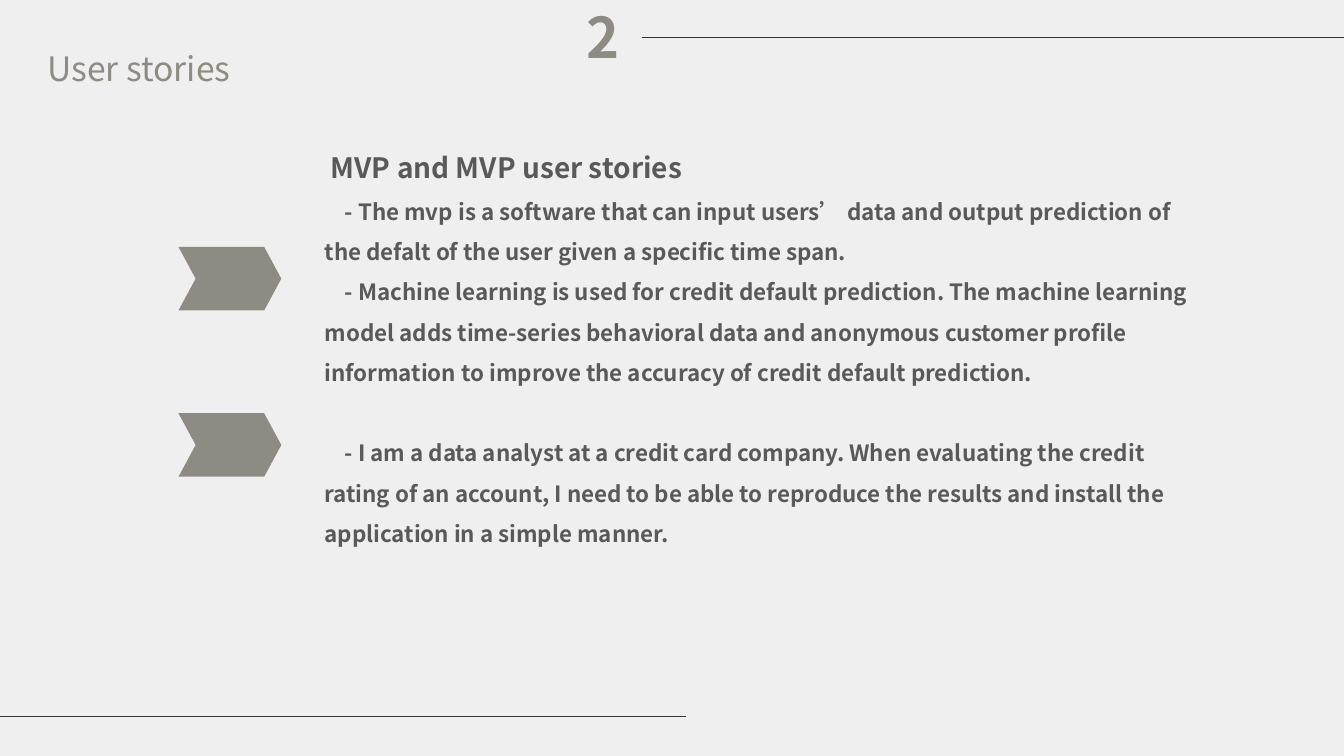
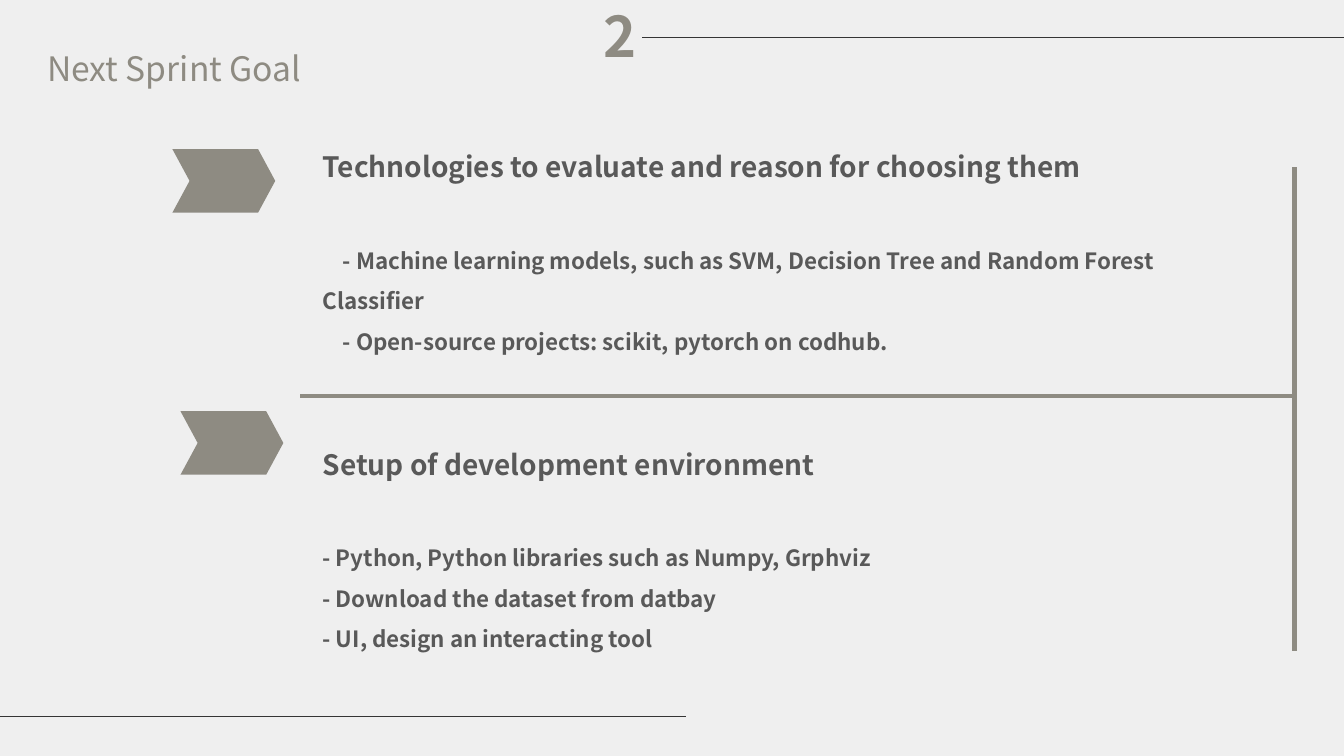
import dataclasses

import lxml.etree
import pptx
import pptx.dml.color
import pptx.enum.shapes
import pptx.enum.text
import pptx.oxml.ns
import pptx.util

Inches = pptx.util.Inches
Pt = pptx.util.Pt
RGBColor = pptx.dml.color.RGBColor

# Shared style
PAPER = RGBColor(0xEF, 0xEF, 0xEF)
RULE = RGBColor(0x34, 0x34, 0x34)
ACCENT = RGBColor(0x8E, 0x8B, 0x82)
BODY = RGBColor(0x59, 0x59, 0x59)
FONT = "Noto Sans CJK SC"
HEADING_SIZE, ITEM_SIZE = 20, 16
LINE_SPACING = 1.5
BLANK_LINE = 1.2 * LINE_SPACING  # height of an empty line per point of text


@dataclasses.dataclass(frozen=True)
class Line:
    text: str
    size: float = ITEM_SIZE
    indent: float = 0
    gap: float = 0


@dataclasses.dataclass(frozen=True)
class Section:
    left: float
    top: float
    width: float
    height: float
    lines: tuple[Line, ...]


@dataclasses.dataclass(frozen=True)
class Page:
    title: str
    number_at: tuple[float, float]
    sections: tuple[Section, ...]
    chevrons: tuple[tuple[float, float], ...]
    dividers: tuple[tuple[float, float], ...] = ()


def add_rule(shapes, start: tuple[float, float], end: tuple[float, float],
             color: RGBColor, weight: float) -> None:
    rule = shapes.add_connector(pptx.enum.shapes.MSO_CONNECTOR.STRAIGHT,
                                *map(Inches, start + end))
    rule.line.color.rgb = color
    rule.line.width = Pt(weight)
    properties = rule._element.find(pptx.oxml.ns.qn("p:spPr"))
    lxml.etree.SubElement(properties, pptx.oxml.ns.qn("a:effectLst"))


def add_frame(slide, left: float, top: float, width: float, height: float):
    frame = slide.shapes.add_textbox(*map(Inches, (left, top, width, height))).text_frame
    frame.word_wrap = True
    frame.auto_size = pptx.enum.text.MSO_AUTO_SIZE.SHAPE_TO_FIT_TEXT
    return frame


def style_runs(paragraph, size: float, color: RGBColor, bold: bool) -> None:
    for run in paragraph.runs:
        run.font.name = FONT
        run.font.size = Pt(size)
        run.font.bold = bold
        run.font.color.rgb = color
        east_asian = lxml.etree.SubElement(run.font._element, pptx.oxml.ns.qn("a:ea"))
        east_asian.set("typeface", FONT)


def add_label(slide, text: str, box: tuple[float, float, float, float],
              size: float, bold: bool) -> None:
    frame = add_frame(slide, *box)
    frame.text = text
    style_runs(frame.paragraphs[0], size, ACCENT, bold)


def add_section(slide, section: Section) -> None:
    frame = add_frame(slide, section.left, section.top, section.width, section.height)
    frame.margin_left = frame.margin_right = Inches(0.04)
    for index, line in enumerate(section.lines):
        paragraph = frame.add_paragraph() if index else frame.paragraphs[0]
        paragraph.text = line.text
        paragraph.line_spacing = LINE_SPACING
        paragraph.space_before = Pt(line.gap)
        paragraph._p.get_or_add_pPr().set("indent", str(Inches(line.indent)))
        style_runs(paragraph, line.size, BODY, True)


def add_chevron(slide, left: float, top: float) -> None:
    chevron = slide.shapes.add_shape(pptx.enum.shapes.MSO_SHAPE.CHEVRON,
                                     *map(Inches, (left, top, 1.02, 0.63)))
    chevron.adjustments[0] = 0.27
    chevron.shadow.inherit = False
    chevron.fill.solid()
    chevron.fill.fore_color.rgb = ACCENT
    chevron.line.fill.background()


def add_page(deck, page: Page) -> None:
    slide = deck.slides.add_slide(deck.slide_layouts[6])
    slide.background.fill.solid()
    slide.background.fill.fore_color.rgb = PAPER
    # Frame lines, title and number
    add_rule(slide.shapes, (0, 7.11), (6.8, 7.11), RULE, 0.5)
    add_rule(slide.shapes, (6.37, 0.37), (13.33, 0.37), RULE, 0.5)
    add_label(slide, page.title, (0.37, 0.43, 4.15, 0.5), 24, False)
    add_label(slide, "2", (*page.number_at, 0.48, 0.77), 40, True)
    # Content
    for section in page.sections:
        add_section(slide, section)
    for left, top in page.chevrons:
        add_chevron(slide, left, top)
    # Dividers meet at one junction
    if page.dividers:
        divider_group = slide.shapes.add_group_shape()
        for end in page.dividers:
            add_rule(divider_group.shapes, JUNCTION, end, ACCENT, 3)


JUNCTION = (12.84, 3.93)
ITEM_INDENT = 0.2

PAGES = (
    Page(
        title="User stories",
        number_at=(5.72, -0.02),
        sections=(
            Section(3.18, 1.28, 8.83, 4.19, (
                Line("MVP and MVP user stories", HEADING_SIZE, indent=0.06),
                Line("- The mvp is a software that can input users’ data and output "
                     "prediction of the defalt of the user given a specific time span.",
                     indent=ITEM_INDENT),
                Line("- Machine learning is used for credit default prediction. The machine "
                     "learning model adds time-series behavioral data and anonymous customer "
                     "profile information to improve the accuracy of credit default prediction.",
                     indent=ITEM_INDENT),
                Line("- I am a data analyst at a credit card company. When evaluating the "
                     "credit rating of an account, I need to be able to reproduce the results "
                     "and install the application in a simple manner.",
                     indent=ITEM_INDENT, gap=ITEM_SIZE * BLANK_LINE),
            )),
        ),
        chevrons=((1.77, 2.45), (1.77, 4.1)),
    ),
    Page(
        title="Next Sprint Goal",
        number_at=(5.89, -0.03),
        sections=(
            Section(3.16, 1.27, 8.83, 2.32, (
                Line("Technologies to evaluate and reason for choosing them", HEADING_SIZE),
                Line("- Machine learning models, such as SVM, Decision Tree and Random "
                     "Forest Classifier",
                     indent=ITEM_INDENT, gap=HEADING_SIZE * BLANK_LINE),
                Line("- Open-source projects: scikit, pytorch on codhub.", indent=ITEM_INDENT),
            )),
            Section(3.16, 4.22, 9.33, 2.32, (
                Line("Setup of development environment", HEADING_SIZE),
                Line("- Python, Python libraries such as Numpy, Grphviz",
                     gap=HEADING_SIZE * BLANK_LINE),
                Line("- Download the dataset from datbay"),
                Line("- UI, design an interacting tool"),
            )),
        ),
        chevrons=((1.71, 1.48), (1.79, 4.08)),
        dividers=((12.84, 6.46), (2.98, 3.93), (12.84, 1.66)),
    ),
)

deck = pptx.Presentation()
deck.slide_width = Inches(13.33)
deck.slide_height = Inches(7.5)
for page in PAGES:
    add_page(deck, page)
deck.save("out.pptx")
